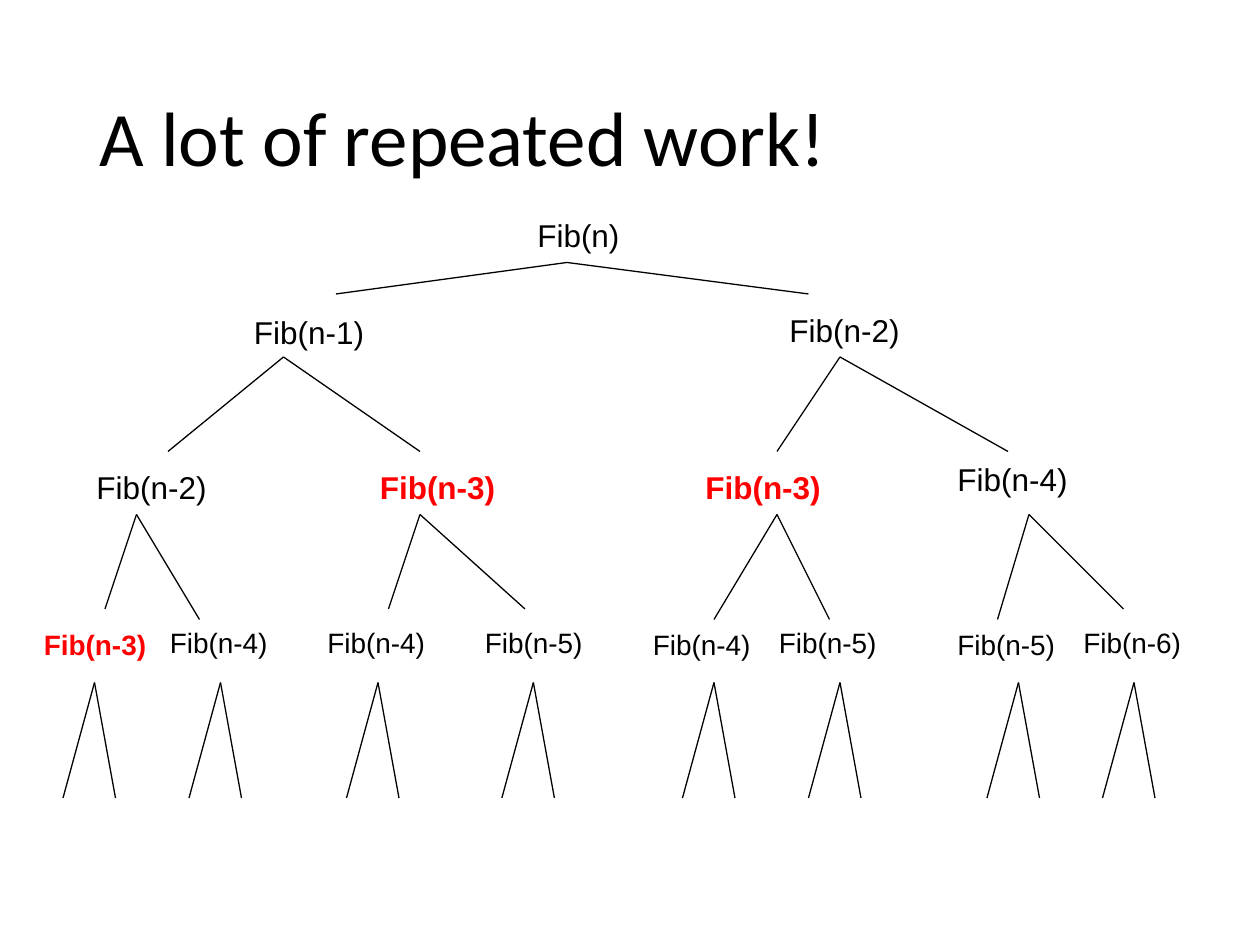
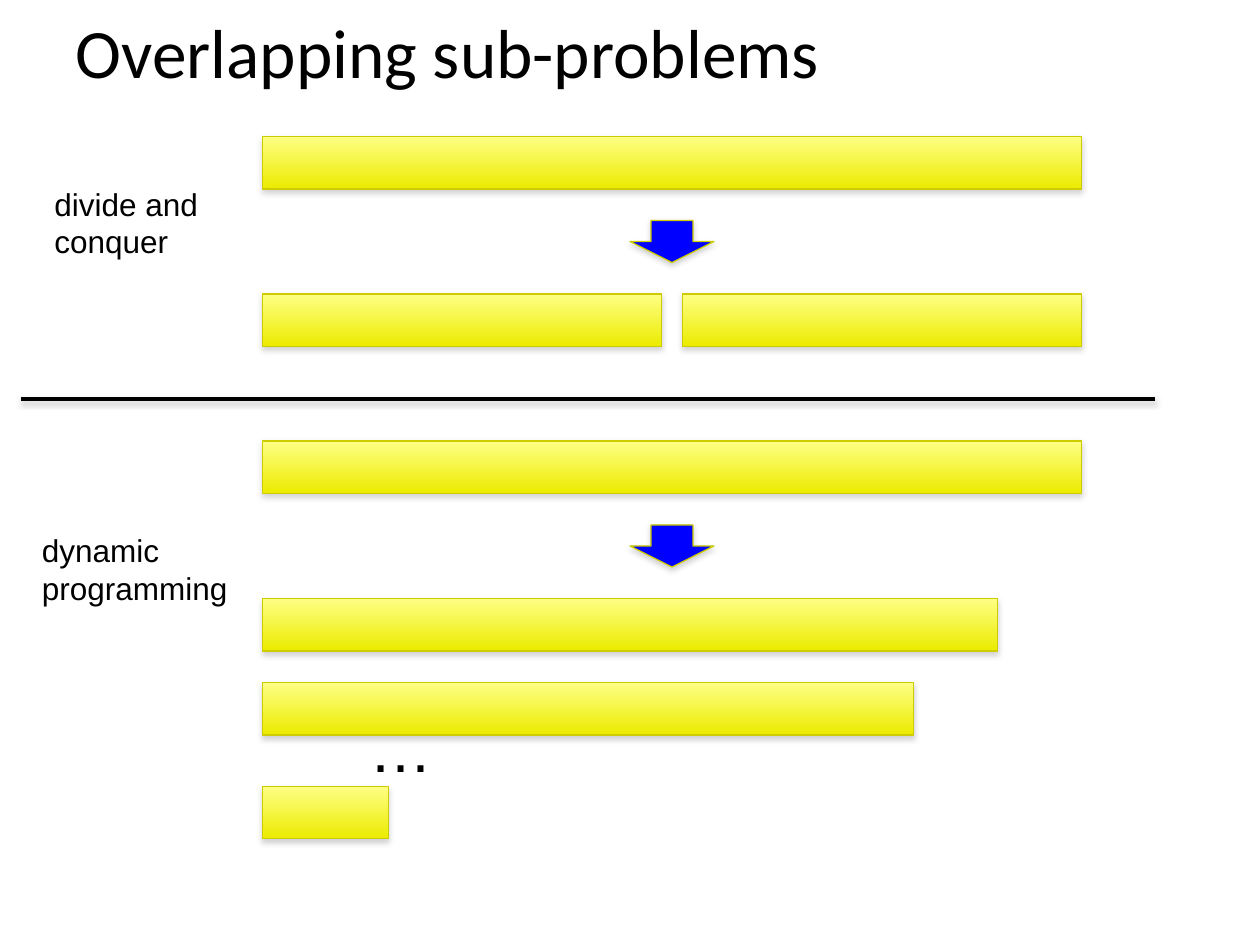
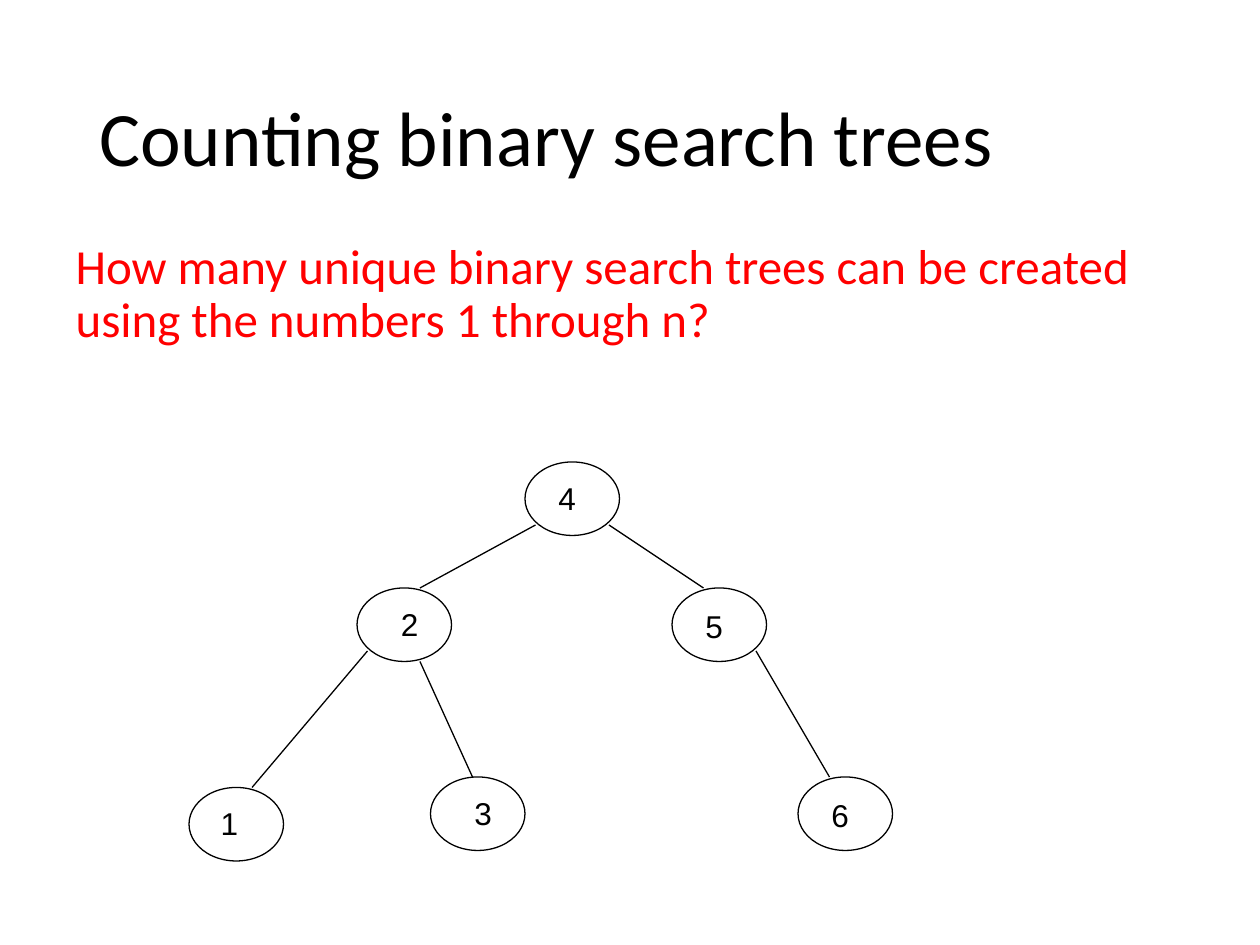
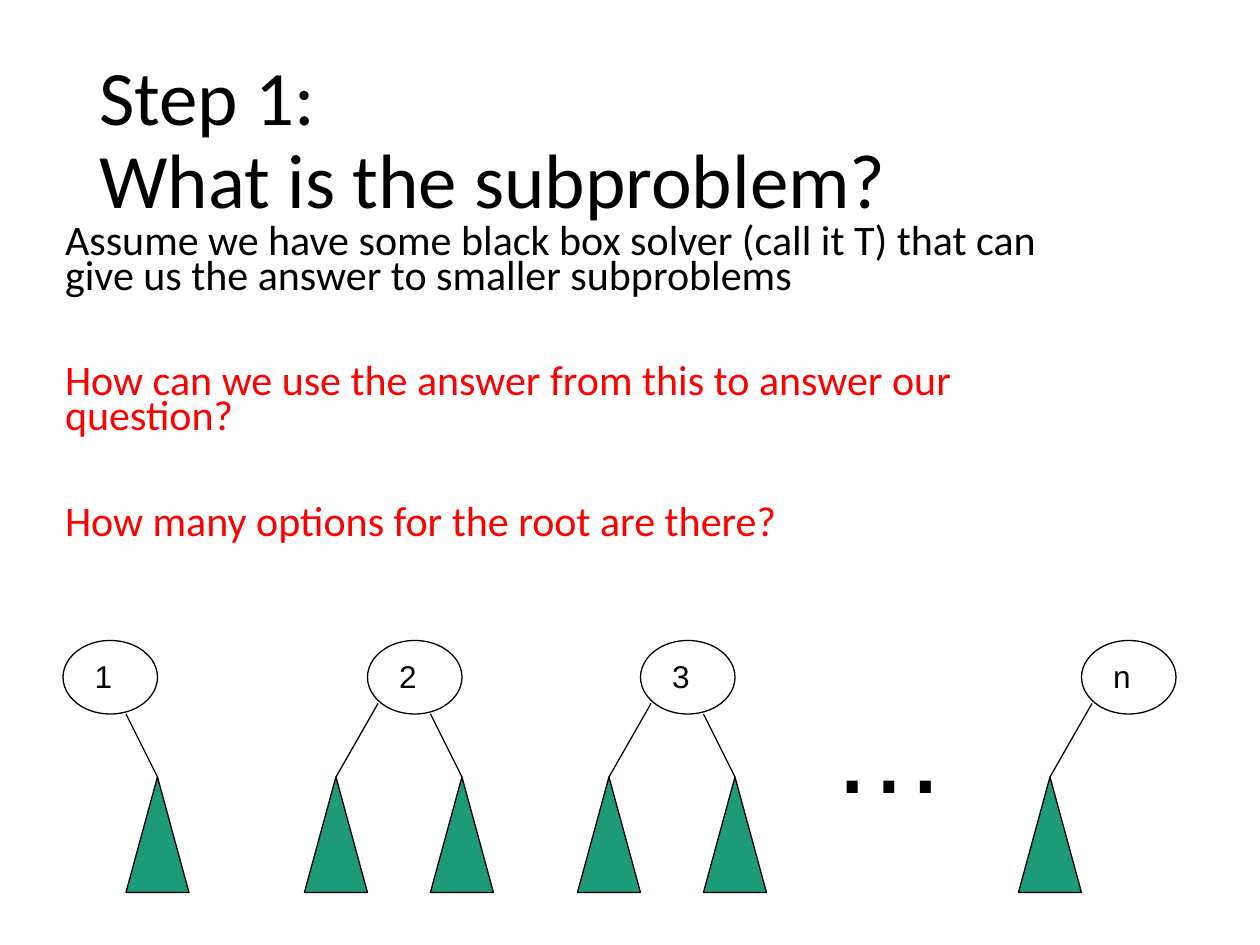
"""Build four slides on dynamic programming: repeated work, overlap and counting search trees."""
from lxml.etree import SubElement
from pptx import Presentation
from pptx.dml.color import RGBColor
from pptx.enum.shapes import MSO_CONNECTOR, MSO_SHAPE
from pptx.enum.text import MSO_ANCHOR, MSO_AUTO_SIZE, PP_ALIGN
from pptx.oxml.ns import qn
from pptx.util import Cm, Pt

BLACK = RGBColor(0x00, 0x00, 0x00)
RED = RGBColor(0xFF, 0x00, 0x00)
BLUE = RGBColor(0x00, 0x00, 0xFF)
GREEN = RGBColor(0x1D, 0x9A, 0x78)
PALE_YELLOW = RGBColor(0xFF, 0xFF, 0x85)
YELLOW = RGBColor(0xEB, 0xEB, 0x00)
OLIVE = RGBColor(0xCC, 0xCC, 0x00)

GRID = 2.54 / 12
TITLE_BOX = (8.25, 4.8, 103.5, 17.4)
TITLE_ONLY, TITLE_AND_BODY = 5, 1
SHAPE_SHADOW = (40000, 23000, 35000)
LINE_SHADOW = (40000, 20000, 38000)

REPEATED = "Fib(n-3)"
CALLS = [
    ("Fib(n)", 50, 20, 12), ("Fib(n-1)", 23, 29.2, 16), ("Fib(n-2)", 74, 29, 16),
    ("Fib(n-2)", 8, 44, 16), ("Fib(n-3)", 35, 44, 16),
    ("Fib(n-3)", 66, 44, 16), ("Fib(n-4)", 90, 43.2, 16),
]
FORKS = [
    ((54, 25), (32, 28), (77, 28)),
    ((27, 34), (16, 43), (40, 43)),
    ((80, 34), (74, 43), (96, 43)),
    ((13, 49), (10, 58), (19, 59)),
    ((40, 49), (37, 58), (50, 58)),
    ((74, 49), (68, 59), (79, 59)),
    ((98, 49), (95, 59), (107, 58)),
]
LEAVES = [
    ("Fib(n-3)", 3, 59.2, 9), ("Fib(n-4)", 15, 59, 21),
    ("Fib(n-4)", 30, 59, 36), ("Fib(n-5)", 45, 59, 50.8),
    ("Fib(n-4)", 61, 59.2, 68), ("Fib(n-5)", 73, 59, 80),
    ("Fib(n-5)", 90, 59.2, 97), ("Fib(n-6)", 102, 59, 108),
]

BARS = [(25, 13, 78), (25, 28, 38), (65, 28, 38), (25, 42, 78),
        (25, 57, 70), (25, 65, 62), (25, 74.9, 12)]
ARROW_TOPS = [21, 50]
METHODS = [("divide and\vconquer", 4, 17, 16.2), ("dynamic \nprogramming", 2.8, 50, 20.3)]

COUNT_QUESTION = [
    ("How many unique binary search trees can be created using the numbers 1 through n?", RED, 10),
]
NODES = [
    ("4", (52, 45), (50, 44)), ("2", (37, 57), (34, 56)), (" 1", (19, 76), (18, 75)),
    ("3", (44, 75), (41, 74)), ("5", (66, 57.2), (64, 56)), ("6", (78, 75.2), (76, 74)),
]
EDGES = [((24, 75), (35, 62)), ((40, 56), (51, 50)), ((40, 63), (45, 74)),
         ((58, 50), (67, 56)), ((72, 62), (79, 74))]

SUBPROBLEM = [
    ("Assume we have some black box solver (call it T) that can give us the answer "
     "to smaller subproblems", BLACK, 10),
    ("How can we use the answer from this to answer our question?", RED, 40),
    ("How many options for the root are there?", RED, 40),
]
ROOTS = [(" 1", 6, "R"), (" 2", 35, "LR"), (" 3", 61, "LR"), (" n", 103, "L")]
BRANCHES = {"L": ((1, 67), -3), "R": ((6, 68), 9)}


def grid(*values):
    return [Cm(v * GRID) for v in values]


def style(p, size, color=BLACK, name="Arial", bold=False):
    p.font.name, p.font.size, p.font.bold = name, Pt(size), bold
    p.font.color.rgb = color


def new_slide(layout, title, box=TITLE_BOX, size=44):
    s = prs.slides.add_slide(prs.slide_layouts[layout])
    sp = s.shapes.title
    sp.left, sp.top, sp.width, sp.height = grid(*box)
    tf = sp.text_frame
    tf.text = title
    tf.auto_size, tf.vertical_anchor = MSO_AUTO_SIZE.NONE, MSO_ANCHOR.MIDDLE
    p = tf.paragraphs[0]
    p.alignment, p.line_spacing = PP_ALIGN.LEFT, 0.9
    style(p, size, name="Calibri")
    return s


def fill_body(s, box, items, size, spacing):
    sp = s.placeholders[1]
    sp.left, sp.top, sp.width, sp.height = grid(*box)
    tf = sp.text_frame
    tf.text = "\n".join(text for text, _, _ in items)
    tf.auto_size = MSO_AUTO_SIZE.NONE
    for p, (_, color, before) in zip(tf.paragraphs, items):
        p.line_spacing, p.space_before = spacing, Pt(before)
        style(p, size, color, "Calibri")
        pPr = p._p.get_or_add_pPr()
        pPr.set("marL", "0")
        pPr.set("indent", "0")
        pPr.insert_element_before(pPr.makeelement(qn("a:buNone")), "a:defRPr")


def add_label(s, text, x, y, w, h=4.8, size=18, color=BLACK, bold=False, wrap=True):
    tf = s.shapes.add_textbox(*grid(x, y, w, h)).text_frame
    tf.text = text
    tf.word_wrap = wrap
    for p in tf.paragraphs:
        style(p, size, color, bold=bold)


def set_effects(sp, shadow=None):
    effects = SubElement(sp._element.spPr, qn("a:effectLst"))
    if shadow:
        blur, dist, alpha = map(str, shadow)
        outer = SubElement(effects, qn("a:outerShdw"), blurRad=blur, dist=dist,
                           dir="5400000", rotWithShape="0")
        tone = SubElement(outer, qn("a:srgbClr"), val="808080")
        SubElement(tone, qn("a:alpha"), val=alpha)


def add_line(s, start, end, width=0.75, shadow=None):
    sp = s.shapes.add_connector(MSO_CONNECTOR.STRAIGHT, *grid(*start, *end))
    sp.line.color.rgb, sp.line.width = BLACK, Pt(width)
    set_effects(sp, shadow)


def add_figure(s, kind, box, fill=None, line=BLACK, shadow=None):
    sp = s.shapes.add_shape(kind, *grid(*box))
    if fill is None:
        sp.fill.background()
    elif isinstance(fill, list):
        sp.fill.gradient()
        sp.fill.gradient_angle = 270
        for stop, color, position in zip(sp.fill.gradient_stops, fill, (0, 1)):
            stop.color.rgb, stop.position = color, position
    else:
        sp.fill.solid()
        sp.fill.fore_color.rgb = fill
    sp.line.color.rgb, sp.line.width = line, Pt(0.75)
    set_effects(sp, shadow)


def add_node(s, text, label_at, oval_at):
    add_label(s, text, *label_at, 8)
    add_figure(s, MSO_SHAPE.OVAL, (*oval_at, 9, 7))


def add_call(s, text, x, y, w, size):
    again = text == REPEATED
    add_label(s, text, x, y, w, size=size, color=RED if again else BLACK, bold=again)


def repeated_work():
    s = new_slide(TITLE_ONLY, "A lot of repeated work!")
    for text, x, y, w in CALLS:
        add_call(s, text, x, y, w, 18)
    for text, x, y, _ in LEAVES:
        add_call(s, text, x, y, 13, 16)
    leaf_forks = [((x, 65), (x - 3, 76), (x + 2, 76)) for _, _, _, x in LEAVES]
    for apex, *feet in FORKS + leaf_forks:
        for foot in feet:
            add_line(s, apex, foot)


def overlapping():
    s = new_slide(TITLE_ONLY, "Overlapping sub-problems", (6, 1.6, 99, 7.4), 39.6)
    for x, y, w in BARS:
        add_figure(s, MSO_SHAPE.RECTANGLE, (x, y, w, 5), [PALE_YELLOW, YELLOW], OLIVE, SHAPE_SHADOW)
    for y in ARROW_TOPS:
        add_figure(s, MSO_SHAPE.DOWN_ARROW, (60, y, 8, 4), BLUE, OLIVE, SHAPE_SHADOW)
    add_label(s, "…", 34, 67, 8.5, 8.5, size=36, wrap=False)
    add_line(s, (2, 38), (110, 38), 2, LINE_SHADOW)
    for text, x, y, w in METHODS:
        add_label(s, text, x, y, w, 8.5, wrap=False)


def counting_trees():
    s = new_slide(TITLE_AND_BODY, "Counting binary search trees")
    fill_body(s, (6, 22.5, 108, 16.5), COUNT_QUESTION, 28, 0.9)
    for node in NODES:
        add_node(s, *node)
    for start, end in EDGES:
        add_line(s, start, end)


def subproblem():
    s = new_slide(TITLE_AND_BODY, "Step 1: \vWhat is the subproblem?")
    fill_body(s, (5, 21, 99, 32), SUBPROBLEM, 24, 0.7)
    for text, x, sides in ROOTS:
        add_node(s, text, (x + 1, 62), (x, 61))
        for side in sides:
            (dx, y), tip = BRANCHES[side]
            add_line(s, (x + dx, y), (x + tip, 74))
            add_figure(s, MSO_SHAPE.ISOSCELES_TRIANGLE, (x + tip - 3, 74, 6, 11), GREEN)
    add_label(s, "…", 78, 64, 13, 14.4, size=66)


prs = Presentation()
prs.slide_width, prs.slide_height = Cm(25.4), Cm(19.05)
for build in (repeated_work, overlapping, counting_trees, subproblem):
    build()
prs.save("out.pptx")
